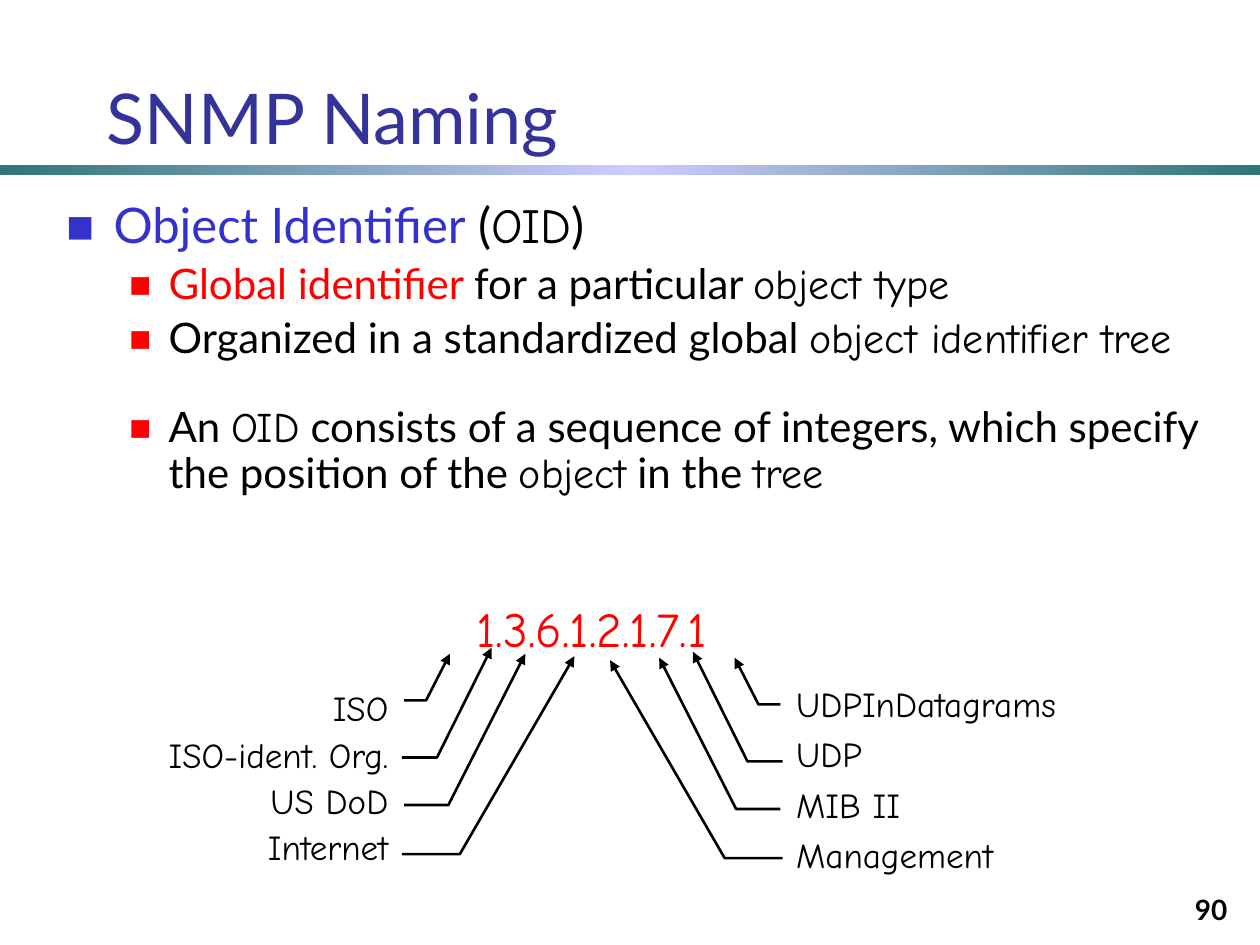
from dataclasses import dataclass

import pptx
import pptx.dml.color
import pptx.enum.dml
import pptx.enum.shapes
import pptx.enum.text
import pptx.oxml
import pptx.oxml.ns
import pptx.util

Cm = pptx.util.Cm
Pt = pptx.util.Pt
RGBColor = pptx.dml.color.RGBColor
ALIGN = pptx.enum.text.PP_ALIGN
ANCHOR = pptx.enum.text.MSO_ANCHOR

BLACK = RGBColor(0x00, 0x00, 0x00)
RED = RGBColor(0xFF, 0x00, 0x00)
BLUE = RGBColor(0x33, 0x33, 0xCC)
NAVY = RGBColor(0x33, 0x33, 0x99)
TEAL = RGBColor(0x2F, 0x76, 0x76)
LILAC = RGBColor(0xCC, 0xCC, 0xFF)
SANS = "Lato"
COMIC = "Comic Neue"
MIRROR_SUM = 23.88  # x of a left point plus x of its right counterpart, cm
RIGHT_DROP = 0.08   # right pointers sit slightly lower, cm


@dataclass
class Span:
    text: str
    font: str = SANS
    color: RGBColor = BLACK


@dataclass
class BulletStyle:
    level: int
    size: int
    margin: float
    hanging: float
    color: RGBColor
    percent: int


@dataclass
class Bullet:
    style: BulletStyle
    space_before: float
    spans: list[Span]


@dataclass
class Pointer:
    start_x: float
    elbow_x: float
    base_y: float
    tip_x: float
    tip_y: float


TOPIC = BulletStyle(0, 28, 0.95, 0.95, BLUE, 60)
DETAIL = BulletStyle(1, 24, 2.06, 0.79, RED, 55)
BULLETS = [
    Bullet(TOPIC, 0, [Span("Object Identifier", color=BLUE), Span(" ("),
                      Span("OID", COMIC), Span(")")]),
    Bullet(DETAIL, 5, [Span("Global identifier ", color=RED),
                       Span("for a particular "), Span("object type", COMIC)]),
    Bullet(DETAIL, 5, [Span("Organized in a standardized global "),
                       Span("object identifier tree", COMIC)]),
    Bullet(DETAIL, 25, [
        Span("An "), Span("OID", COMIC),
        Span(" consists of a sequence of integers, which specify the position of the "),
        Span("object", COMIC), Span(" in the "), Span("tree", COMIC)]),
]
POINTERS = [
    Pointer(8.15, 8.59, 14.12, 9.07, 13.18),
    Pointer(8.1, 8.81, 15.27, 9.91, 13.06),
    Pointer(8.15, 9.04, 16.23, 10.59, 13.18),
    Pointer(8.1, 9.27, 17.22, 11.58, 13.23),
]


def add_span(paragraph, span: Span, size: int, bold: bool = False) -> None:
    run = paragraph.add_run()
    run.text = span.text
    run.font.color.rgb = span.color
    for name, value in {"name": span.font, "size": Pt(size), "bold": bold}.items():
        setattr(run.font, name, value)


def add_box(slide, left: float, top: float, width: float, height: float,
            anchor=ANCHOR.TOP):
    frame = slide.shapes.add_textbox(Cm(left), Cm(top), Cm(width), Cm(height)).text_frame
    frame.word_wrap = True
    frame.vertical_anchor = anchor
    return frame


def add_lines(frame, lines: list[Span], size: int, align, spacing: float = 1.0,
              bold: bool = False) -> None:
    for i, line in enumerate(lines):
        paragraph = frame.add_paragraph() if i else frame.paragraphs[0]
        paragraph.alignment = align
        paragraph.line_spacing = spacing
        add_span(paragraph, line, size, bold)


def add_bullet(paragraph, bullet: Bullet) -> None:
    style = bullet.style
    paragraph.level = style.level
    paragraph.line_spacing = 0.9
    paragraph.space_before = Pt(bullet.space_before)
    properties = paragraph._p.get_or_add_pPr()
    properties.set("marL", str(Cm(style.margin)))
    properties.set("indent", str(-Cm(style.hanging)))
    ns = pptx.oxml.ns.nsdecls("a")
    for xml in (f'<a:buClr {ns}><a:srgbClr val="{style.color}"/></a:buClr>',
                f'<a:buSzPct {ns} val="{style.percent * 1000}"/>',
                f'<a:buFont {ns} typeface="{SANS}"/>',
                f'<a:buChar {ns} char="■"/>'):
        properties.append(pptx.oxml.parse_xml(xml))
    for span in bullet.spans:
        add_span(paragraph, span, style.size)


def add_pointer(slide, points: list[tuple[float, float]]) -> None:
    start, *rest = [(Cm(x), Cm(y)) for x, y in points]
    builder = slide.shapes.build_freeform(*start)
    builder.add_line_segments(rest, close=False)
    pointer = builder.convert_to_shape()
    pointer.shadow.inherit = False
    pointer.fill.background()
    pointer.line.color.rgb = BLACK
    pointer.line.width = Pt(1.5)
    pointer.line._get_or_add_ln().append(pptx.oxml.parse_xml(
        f'<a:tailEnd {pptx.oxml.ns.nsdecls("a")} type="triangle"/>'))


def add_rule(slide) -> None:
    rule = slide.shapes.add_shape(pptx.enum.shapes.MSO_SHAPE.RECTANGLE,
                                  0, Cm(3.33), Cm(25.4), Cm(0.2))
    rule.shadow.inherit = False
    rule.line.fill.background()
    rule.fill.gradient()
    rule.fill.gradient_angle = 0
    stops = rule.fill._fill._gradFill.gsLst
    for stop in list(stops):
        stops.remove(stop)
    for position, color in ((0, TEAL), (50, LILAC), (100, TEAL)):
        stops.append(pptx.oxml.parse_xml(
            f'<a:gs {pptx.oxml.ns.nsdecls("a")} pos="{position * 1000}">'
            f'<a:srgbClr val="{color}"/></a:gs>'))


def main() -> None:
    deck = pptx.Presentation()
    deck.slide_width, deck.slide_height = Cm(25.4), Cm(19.05)
    slide = deck.slides.add_slide(deck.slide_layouts[5])

    # Rule, page number and title
    add_rule(slide)
    add_lines(add_box(slide, 19.71, 17.53, 5.28, 1.27, ANCHOR.BOTTOM),
              [Span("90")], 16, ALIGN.RIGHT, bold=True)
    title = slide.shapes.title
    for name, value in {"left": 1.9, "top": 0.91, "width": 23.5, "height": 2.41}.items():
        setattr(title, name, Cm(value))
    title.text_frame.vertical_anchor = ANCHOR.BOTTOM
    add_lines(title.text_frame, [Span("SNMP Naming", color=NAVY)], 40, ALIGN.LEFT)

    # Bulleted explanation
    body = add_box(slide, 1.09, 3.94, 23.8, 7.8)
    for i, bullet in enumerate(BULLETS):
        add_bullet(body.add_paragraph() if i else body.paragraphs[0], bullet)

    # Example identifier and the names of its parts
    add_lines(add_box(slide, 8.71, 11.94, 6.43, 1.45),
              [Span("1.3.6.1.2.1.7.1", COMIC, RED)], 28, ALIGN.CENTER)
    left_names = ["ISO", "ISO-ident. Org.", "US DoD", "Internet"]
    right_names = ["UDPInDatagrams", "UDP", "MIB II", "Management"]
    add_lines(add_box(slide, 2.29, 13.64, 5.79, 3.99),
              [Span(name, COMIC) for name in left_names], 20, ALIGN.RIGHT, 1.1)
    add_lines(add_box(slide, 15.8, 13.46, 6.2, 4.32),
              [Span(name, COMIC) for name in right_names], 20, ALIGN.LEFT, 1.2)

    # Pointers on the left, mirrored on the right
    for p in POINTERS:
        points = [(p.start_x, p.base_y), (p.elbow_x, p.base_y), (p.tip_x, p.tip_y)]
        add_pointer(slide, points)
        add_pointer(slide, [(MIRROR_SUM - x, y + RIGHT_DROP) for x, y in points])

    deck.save("out.pptx")


if __name__ == "__main__":
    main()
